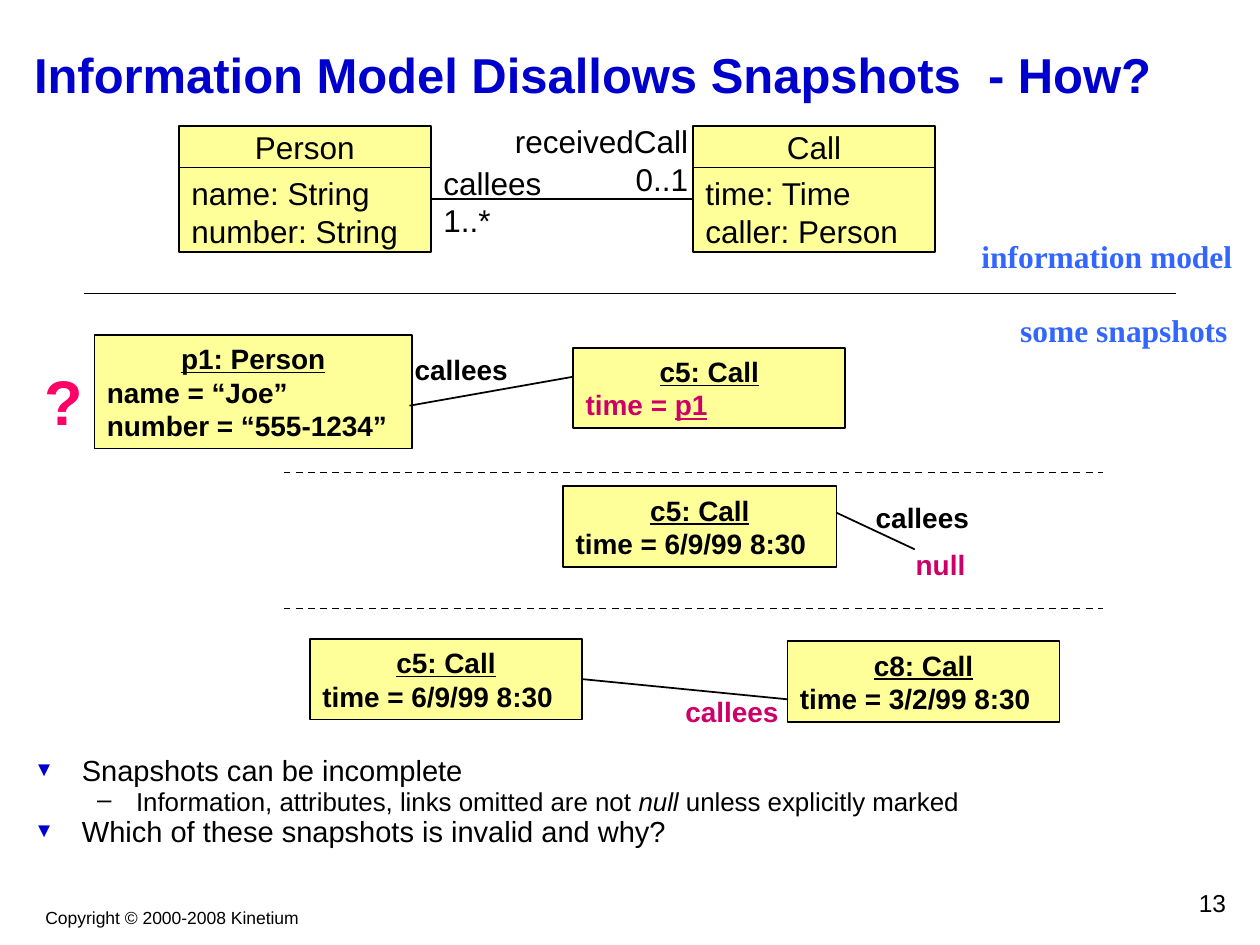
from lxml import etree
from pptx import Presentation
from pptx.dml.color import RGBColor
from pptx.enum.dml import MSO_LINE
from pptx.enum.shapes import MSO_CONNECTOR, MSO_SHAPE
from pptx.enum.text import MSO_ANCHOR, MSO_AUTO_SIZE, PP_ALIGN
from pptx.oxml.ns import qn
from pptx.util import Pt

PX = 9144
LEFT, CENTER, RIGHT = PP_ALIGN.LEFT, PP_ALIGN.CENTER, PP_ALIGN.RIGHT
TOP, MIDDLE = MSO_ANCHOR.TOP, MSO_ANCHOR.MIDDLE
FIXED, GROW = MSO_AUTO_SIZE.NONE, MSO_AUTO_SIZE.SHAPE_TO_FIT_TEXT
RECTANGLE, STRAIGHT, DASH = MSO_SHAPE.RECTANGLE, MSO_CONNECTOR.STRAIGHT, MSO_LINE.DASH
RIGHT_SIDE = 3

BLACK, NAVY, BLUE = "000000", "0000CC", "3366FF"
YELLOW, CRIMSON, PINK = "FFFF99", "CC0066", "FF0066"
CLASS_TEXT = {"size": Pt(18)}
OBJECT_TEXT = {"size": Pt(16), "bold": True}
UNDERLINED = {"underline": True}
BULLETS = [
    {"char": "▼", "color": NAVY, "size": 70, "margin": 38, "indent": -38, "before": 4.5, "points": 16.6},
    {"char": "–", "color": BLACK, "size": 100, "margin": 81, "indent": -31, "before": 4, "points": 14.8},
]


def px(*lengths):
    return [length * PX for length in lengths]


def rgb(value):
    return RGBColor.from_string(value)


def set_all(target, values):
    for name, value in values.items():
        setattr(target, name, value)


def add_spans(para, spans, style):
    for text, changes in spans:
        span = para.add_run()
        span.text = text
        look = {"name": "Arial", "color": BLACK, **style, **changes}
        span.font.color.rgb = rgb(look.pop("color"))
        set_all(span.font, look)


def fill_text(frame, lines, style, align=LEFT, anchor=TOP, wrap=True, size=FIXED):
    set_all(frame, {"word_wrap": wrap, "auto_size": size, "vertical_anchor": anchor})
    for index, spans in enumerate(lines):
        para = frame.add_paragraph() if index else frame.paragraphs[0]
        para.alignment = align
        add_spans(para, [(spans, {})] if isinstance(spans, str) else spans, style)


def add_label(page, box, lines, style, align=CENTER, anchor=MIDDLE, wrap=False, size=GROW):
    label = page.shapes.add_textbox(*px(*box))
    fill_text(label.text_frame, lines, style, align, anchor, wrap, size)


def add_box(shapes, box):
    shape = shapes.add_shape(RECTANGLE, *px(*box))
    shape.shadow.inherit = False
    shape.fill.solid()
    shape.fill.fore_color.rgb = rgb(YELLOW)
    shape.line.color.rgb = rgb(BLACK)
    shape.line.width = Pt(1)
    return shape


def add_line(page, x1, y1, x2, y2, dash=None):
    line = page.shapes.add_connector(STRAIGHT, *px(x1, y1, x2, y2))
    line.line.color.rgb = rgb(BLACK)
    line.line.width = Pt(1)
    line.line.dash_style = dash
    etree.SubElement(line.element.spPr, qn("a:effectLst"))
    return line


def add_class(page, box, name, attributes):
    left, top, width, height = box
    head = height // 3
    group = page.shapes.add_group_shape()
    heading = add_box(group.shapes, (left, top, width, head))
    fill_text(heading.text_frame, [name], CLASS_TEXT, CENTER, MIDDLE, False)
    body = add_box(group.shapes, (left, top + head, width, height - head))
    fill_text(body.text_frame, attributes, CLASS_TEXT, wrap=False)


def add_object(page, box, name, values):
    shape = add_box(page.shapes, box)
    fill_text(shape.text_frame, [[(name, UNDERLINED)], *values], OBJECT_TEXT, anchor=MIDDLE, size=GROW)
    shape.text_frame.paragraphs[0].alignment = CENTER
    return shape


def add_callees(page, left, top, color=BLACK):
    add_label(page, (left, top, 96, 37), ["callees"], {**OBJECT_TEXT, "color": color})


def add_title(page, box, text):
    title = page.shapes.title
    set_all(title, dict(zip(("left", "top", "width", "height"), px(*box))))
    fill_text(title.text_frame, [text], {"size": Pt(28), "bold": True, "color": NAVY}, anchor=MIDDLE)


def add_bullet(para, bullet):
    props = para._p.get_or_add_pPr()
    props.set("marL", str(bullet["margin"] * PX))
    props.set("indent", str(bullet["indent"] * PX))
    color = etree.SubElement(props, qn("a:buClr"))
    etree.SubElement(color, qn("a:srgbClr"), val=bullet["color"])
    etree.SubElement(props, qn("a:buSzPct"), val=str(bullet["size"] * 1000))
    etree.SubElement(props, qn("a:buFont"), typeface="Arial")
    etree.SubElement(props, qn("a:buChar"), char=bullet["char"])


def add_body(page, box, items):
    body = page.placeholders[1]
    set_all(body, dict(zip(("left", "top", "width", "height"), px(*box))))
    frame = body.text_frame
    set_all(frame, {"word_wrap": True, "auto_size": FIXED, "vertical_anchor": TOP})
    for index, (level, spans) in enumerate(items):
        para = frame.add_paragraph() if index else frame.paragraphs[0]
        bullet = BULLETS[level]
        add_bullet(para, bullet)
        before = Pt(bullet["before"] if index else 0)
        set_all(para, {"level": level, "line_spacing": 0.7, "space_before": before})
        add_spans(para, spans, {"size": Pt(bullet["points"])})


def add_information_model(page, left, top):
    add_class(page, (left, top, 200, 100), "Person", ["name: String", "number: String"])
    add_class(page, (left + 408, top, 192, 100), "Call", ["time: Time", "caller: Person"])
    add_line(page, left + 200, top + 58, left + 408, top + 58)
    add_label(page, (left + 200, top + 25, 100, 70), ["callees", "1..*"], CLASS_TEXT, LEFT, TOP)
    add_label(page, (left + 252, top - 8, 162, 70), ["receivedCall", "0..1"], CLASS_TEXT, RIGHT, TOP)


def add_person_snapshot(page, left, top):
    add_object(page, (left + 50, top, 252, 90), "p1: Person", ["name = “Joe”", "number = “555-1234”"])
    values = [[("time = ", {"color": CRIMSON}), ("p1", {"color": CRIMSON, **UNDERLINED})]]
    add_object(page, (left + 430, top + 10, 216, 64), "c5: Call", values)
    add_line(page, left + 300, top + 56, left + 430, top + 33)
    add_callees(page, left + 293, top + 9)
    mark = {"size": Pt(36), "bold": True, "color": PINK}
    add_label(page, (left, top + 17, 51, 70), ["?"], mark, anchor=TOP)


def add_null_snapshot(page, left, top):
    add_object(page, (left, top, 217, 64), "c5: Call", ["time = 6/9/99 8:30"])
    add_line(page, left + 217, top + 21, left + 279, top + 50)
    add_callees(page, left + 237, top + 6)
    add_label(page, (left + 268, top + 43, 63, 37), ["null"], {**OBJECT_TEXT, "color": CRIMSON})


def add_calls_snapshot(page, left, top):
    caller = add_object(page, (left, top, 216, 64), "c5: Call", ["time = 6/9/99 8:30"])
    add_object(page, (left + 379, top + 2, 216, 64), "c8: Call", ["time = 3/2/99 8:30"])
    link = add_line(page, left + 216, top + 32, left + 379, top + 48)
    link.begin_connect(caller, RIGHT_SIDE)
    add_callees(page, left + 287, top + 39, CRIMSON)


def main():
    deck = Presentation()
    deck.slide_width, deck.slide_height = px(1000, 750)
    page = deck.slides.add_slide(deck.slide_layouts[1])
    add_title(page, (17, 17, 967, 83), "Information Model Disallows Snapshots  - How?")
    add_body(page, (17, 600, 967, 83), [
        (0, [("Snapshots can be incomplete", {})]),
        (1, [("Information, attributes, links omitted are not ", {}),
             ("null ", {"italic": True}),
             ("unless explicitly marked", {})]),
        (0, [("Which of these snapshots is invalid and why?", {})]),
    ])
    add_information_model(page, 142, 100)
    add_line(page, 67, 233, 933, 233)
    caption = {"name": "Times New Roman", "size": Pt(18), "bold": True, "color": BLUE}
    add_label(page, (767, 183, 223, 40), ["information model"], caption)
    add_label(page, (798, 242, 188, 40), ["some snapshots"], caption)
    add_person_snapshot(page, 25, 266)
    add_null_snapshot(page, 447, 386)
    add_calls_snapshot(page, 246, 507)
    for y in (375, 483):
        add_line(page, 225, y, 875, y, DASH)
    add_label(page, (25, 715, 223, 27), ["Copyright © 2000-2008 Kinetium"], {"size": Pt(10)}, anchor=TOP)
    add_label(page, (775, 700, 208, 33), ["13"], {"size": Pt(14)}, RIGHT, TOP, True, FIXED)
    deck.save("out.pptx")


if __name__ == "__main__":
    main()
